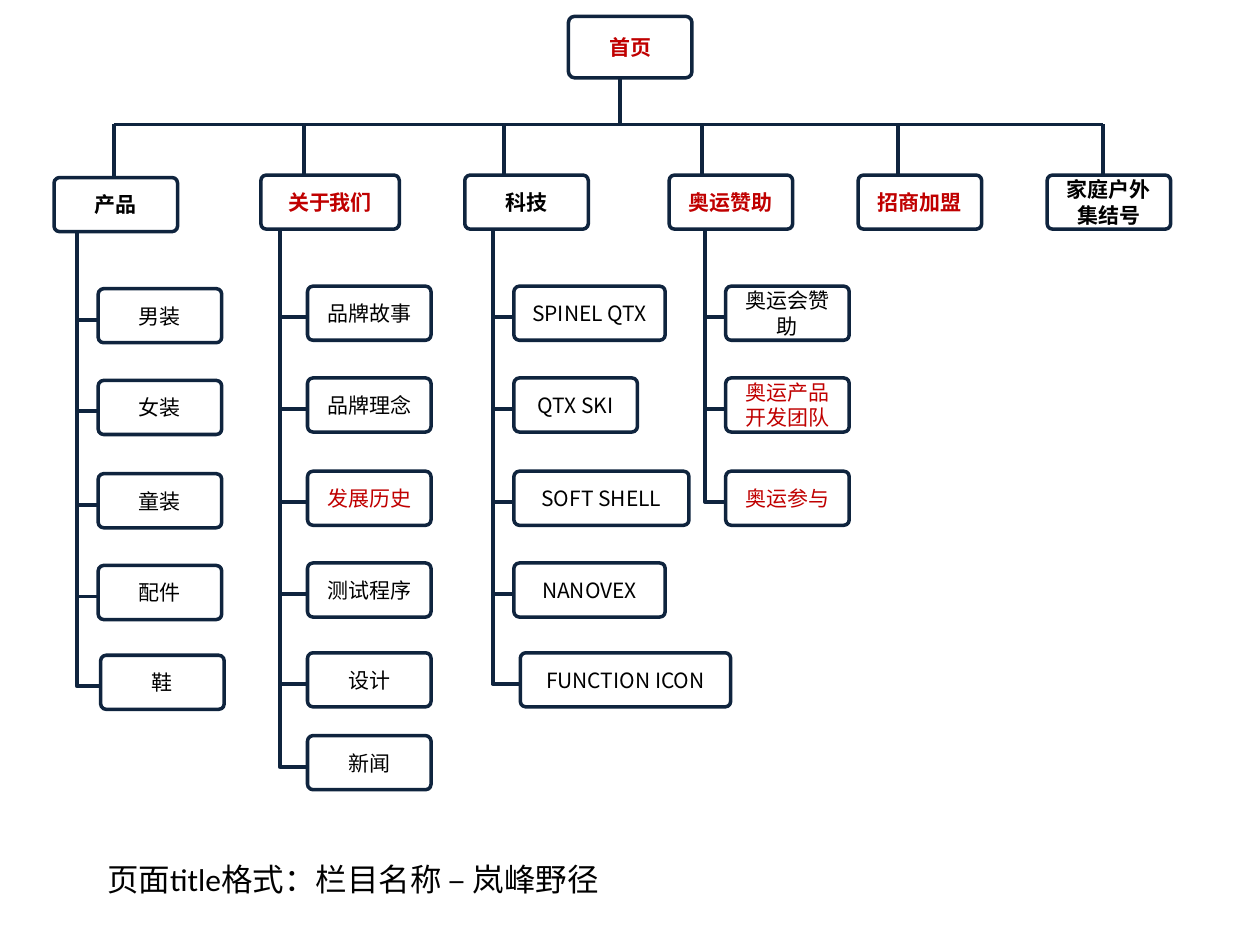
"""Build a website map: a home page, six sections and their sub-pages."""
from dataclasses import dataclass

from lxml.etree import SubElement
from pptx import Presentation
from pptx.dml.color import RGBColor
from pptx.enum.shapes import MSO_CONNECTOR, MSO_SHAPE
from pptx.enum.text import MSO_ANCHOR, PP_ALIGN
from pptx.oxml.ns import qn
from pptx.util import Cm, Pt

NAVY = RGBColor(0x0F, 0x24, 0x3E)
RED = RGBColor(0xC0, 0x00, 0x00)
BLACK = RGBColor(0x00, 0x00, 0x00)
WHITE = RGBColor(0xFF, 0xFF, 0xFF)
CJK_FONT = "Noto Sans CJK SC"

BOX_WIDTH, BOX_HEIGHT = 2.49, 1.09
SECTION_TOP = 3.53
ROW_TOPS = (5.77, 7.62, 9.5, 11.35, 13.16, 14.83)
BUS_TOP = 2.51
BRANCH_DROP = 0.08


@dataclass(frozen=True)
class Node:
    """A page of the site; shift moves its box to the right."""
    label: str
    color: RGBColor = BLACK
    width: float = BOX_WIDTH
    shift: float = 0


@dataclass(frozen=True)
class Section:
    """A top-level page with the positions of its lines and sub-pages."""
    head: Node
    left: float
    drop_x: float
    trunk_x: float = 0
    pages_left: float = 0
    pages: tuple[Node, ...] = ()
    lower: float = 0


SECTIONS = (
    Section(Node("产品"), 1.09, 2.29, 1.55, 1.98,
            (Node("男装"), Node("女装"), Node("童装"), Node("配件"),
             Node("鞋", shift=0.05)), lower=0.05),
    Section(Node("关于我们", RED, 2.79), 5.26, 6.12, 5.64, 6.2,
            (Node("品牌故事"), Node("品牌理念"), Node("发展历史", RED),
             Node("测试程序"), Node("设计"), Node("新闻"))),
    Section(Node("科技"), 9.37, 10.16, 9.93, 10.36,
            (Node("SPINEL QTX", width=3.05), Node("QTX SKI"),
             Node("SOFT SHELL", width=3.53), Node("NANOVEX", width=3.05),
             Node("FUNCTION ICON", width=4.24, shift=0.13))),
    Section(Node("奥运赞助", RED), 13.49, 14.15, 14.22, 14.63,
            (Node("奥运会赞助"), Node("奥运产品开发团队", RED),
             Node("奥运参与", RED))),
    Section(Node("招商加盟", RED), 17.3, 18.11),
    Section(Node("家庭户外集结号"), 21.11, 22.23),
)


def set_font(paragraph, name: str, size: int, color: RGBColor, bold: bool = False) -> None:
    """Set the font of a whole paragraph."""
    font = paragraph.font
    font.name, font.size, font.bold = name, Pt(size), bold
    font.color.rgb = color


def add_box(page, node: Node, left: float, top: float,
            height: float = BOX_HEIGHT, bold: bool = False) -> None:
    """Draw one page of the site as a rounded box."""
    box = page.shapes.add_shape(MSO_SHAPE.ROUNDED_RECTANGLE, Cm(left), Cm(top),
                                Cm(node.width), Cm(height))
    box.adjustments[0] = 0.1
    box.shadow.inherit = False
    box.fill.solid()
    box.fill.fore_color.rgb = WHITE
    box.line.color.rgb = NAVY
    box.line.width = Pt(2)
    frame = box.text_frame
    frame.word_wrap = True
    frame.vertical_anchor = MSO_ANCHOR.MIDDLE
    paragraph = frame.paragraphs[0]
    paragraph.text = node.label
    paragraph.alignment = PP_ALIGN.CENTER
    set_font(paragraph, CJK_FONT, 12, node.color, bold)


def add_line(page, x1: float, y1: float, x2: float, y2: float,
             kind: MSO_CONNECTOR = MSO_CONNECTOR.STRAIGHT):
    """Draw a navy connector between two points."""
    line = page.shapes.add_connector(kind, Cm(x1), Cm(y1), Cm(x2), Cm(y2))
    line.line.color.rgb = NAVY
    line.line.width = Pt(2.25)
    SubElement(line._element.spPr, qn("a:effectLst"))
    return line


def add_elbow(page, x1: float, y1: float, x2: float, y2: float) -> None:
    """Draw a connector that goes down and then to the right."""
    middle_x, middle_y = (x1 + x2) / 2, (y1 + y2) / 2
    half_run, half_drop = (x2 - x1) / 2, (y2 - y1) / 2
    elbow = add_line(page, middle_x + half_drop, middle_y - half_run,
                     middle_x - half_drop, middle_y + half_run, MSO_CONNECTOR.ELBOW)
    properties = elbow._element.spPr
    properties.find(qn("a:prstGeom")).set("prst", "bentConnector2")
    properties.find(qn("a:xfrm")).set("rot", str(270 * 60000))


def add_section(page, section: Section) -> None:
    """Draw a section head, its sub-pages and the lines that join them."""
    top = SECTION_TOP + section.lower
    add_line(page, section.drop_x, BUS_TOP, section.drop_x, top)
    start = top + BOX_HEIGHT
    for node, row_top in zip(section.pages, ROW_TOPS):
        left, page_top = section.pages_left + node.shift, row_top + section.lower
        end = page_top + BOX_HEIGHT / 2 + BRANCH_DROP
        add_elbow(page, section.trunk_x, start, left, end)
        add_box(page, node, left, page_top)
        start = end
    add_box(page, section.head, section.left, top, bold=True)


def add_caption(page, text: str) -> None:
    """Write the note on the format of page titles."""
    box = page.shapes.add_textbox(Cm(1.91), Cm(17.22), Cm(10.52), Cm(1.02))
    box.text_frame.word_wrap = True
    paragraph = box.text_frame.paragraphs[0]
    paragraph.text = text
    set_font(paragraph, "Calibri", 18, BLACK)


def main() -> None:
    """Build and save the deck."""
    deck = Presentation()
    deck.slide_width, deck.slide_height = Cm(25.4), Cm(19.05)
    page = deck.slides.add_slide(deck.slide_layouts[6])
    add_line(page, SECTIONS[0].drop_x, BUS_TOP, SECTIONS[-1].drop_x, BUS_TOP)
    add_line(page, 12.5, 1.57, 12.5, BUS_TOP)
    add_box(page, Node("首页", RED), 11.46, 0.33, height=1.24, bold=True)
    for section in SECTIONS:
        add_section(page, section)
    add_caption(page, "页面title格式：栏目名称 – 岚峰野径")
    deck.save("out.pptx")


main()
